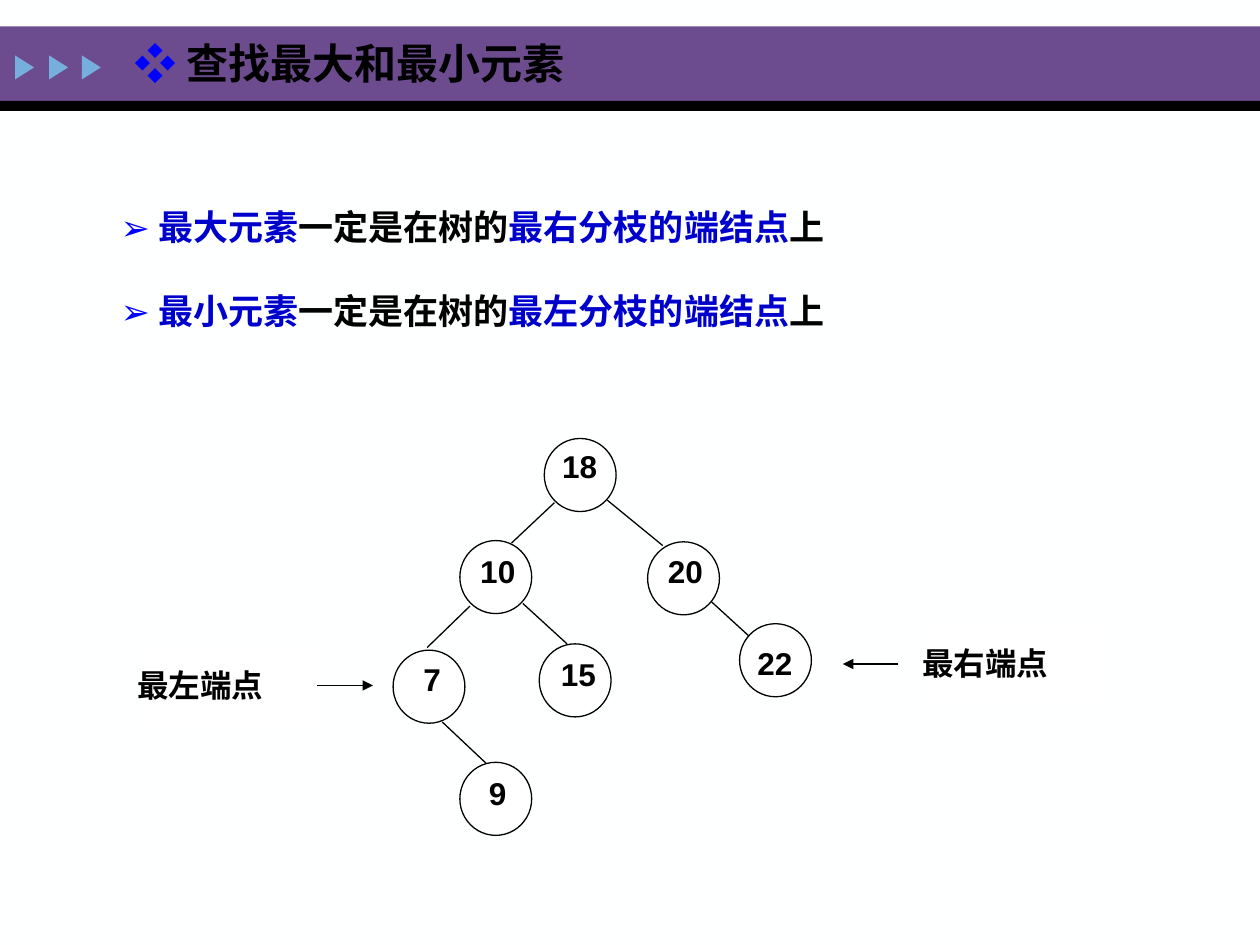
from dataclasses import dataclass

from lxml.etree import SubElement
from pptx import Presentation
from pptx.dml.color import RGBColor
from pptx.enum.shapes import MSO_CONNECTOR as Link, MSO_SHAPE as Form
from pptx.enum.text import MSO_ANCHOR as Anchor, MSO_AUTO_SIZE as Fit, PP_ALIGN as Align
from pptx.oxml.ns import qn
from pptx.util import Inches, Pt


@dataclass(frozen=True)
class Theme:
    paper: str = "FEFFFF"
    white: str = "FFFFFF"
    ink: str = "000000"
    band: str = "6C4C8F"
    marker: str = "76AEDD"
    bullet: str = "0000FF"
    key: str = "0000CC"
    title: int = 24
    body: int = 20
    label: int = 18
    stroke: float = 0.75


def rgb(value):
    return RGBColor.from_string(value)


def apply(target, values):
    for name, value in values.items():
        setattr(target, name, value)


class TreeSlide:
    def __init__(self, deck, theme):
        self.theme = theme
        self.slide = deck.slides.add_slide(deck.slide_layouts[6])
        fill = self.slide.background.fill
        fill.solid()
        fill.fore_color.rgb = rgb(theme.paper)

    def shape(self, form, box, fill, outlined=False):
        shape = self.slide.shapes.add_shape(form, *map(Inches, box))
        shape.shadow.inherit = False
        shape.fill.solid()
        shape.fill.fore_color.rgb = rgb(fill)
        if outlined:
            shape.line.color.rgb = rgb(self.theme.ink)
            shape.line.width = Pt(self.theme.stroke)
        else:
            shape.line.fill.background()
        return shape

    def add_runs(self, paragraph, runs, size, face):
        for words, color in runs:
            run = paragraph.add_run()
            run.text = words
            apply(run.font, {"size": Pt(size), "name": face, "bold": True})
            run.font.color.rgb = rgb(color)

    def text(self, box, lines, size, spacing=1):
        frame = self.slide.shapes.add_textbox(*map(Inches, box)).text_frame
        apply(frame, {"word_wrap": False, "auto_size": Fit.SHAPE_TO_FIT_TEXT})
        for index, runs in enumerate(lines):
            paragraph = frame.add_paragraph() if index else frame.paragraphs[0]
            paragraph.line_spacing = spacing
            self.add_runs(paragraph, runs, size, "Times New Roman")

    def label(self, box, words, face, anchor, align):
        label = self.shape(Form.RECTANGLE, box, self.theme.white)
        frame = label.text_frame
        margins = {f"margin_{side}": 0 for side in ("left", "top", "right", "bottom")}
        apply(frame, {"word_wrap": True, "vertical_anchor": anchor, **margins})
        frame.paragraphs[0].alignment = align
        self.add_runs(frame.paragraphs[0], [(words, self.theme.ink)], self.theme.label, face)
        return label

    def node(self, key, circle, caption):
        self.shape(Form.OVAL, (*circle, 0.57, 0.58), self.theme.white, outlined=True)
        self.label((*caption, 0.32, 0.34), key, "Arial", Anchor.TOP, Align.CENTER)

    def line(self, start, end, arrow=False):
        points = map(Inches, (*start, *end))
        line = self.slide.shapes.add_connector(Link.STRAIGHT, *points)
        line.line.color.rgb = rgb(self.theme.ink)
        line.line.width = Pt(self.theme.stroke)
        properties = line._element.spPr
        if arrow:
            SubElement(properties.find(qn("a:ln")), qn("a:tailEnd"), type="triangle")
        SubElement(properties, qn("a:effectLst"))
        return line


def main():
    deck = Presentation()
    apply(deck, {"slide_width": Inches(10), "slide_height": Inches(7.5)})
    theme = Theme()
    page = TreeSlide(deck, theme)

    page.shape(Form.RECTANGLE, (0, 0.21, 10, 0.59), theme.band)
    page.shape(Form.RECTANGLE, (0, 0.8, 10, 0.08), theme.ink)
    for left in (0.1, 0.37, 0.63):
        marker = page.shape(Form.ISOSCELES_TRIANGLE, (left, 0.46, 0.19, 0.15), theme.marker)
        marker.rotation = 90

    heading = [("❖ ", theme.bullet), ("查找最大和最小元素", theme.ink)]
    page.text((0.97, 0.25, 3.63, 0.51), [heading], theme.title)

    rules = [
        [
            ("➢ ", theme.bullet),
            (f"最{extreme}元素", theme.key),
            ("一定是在树的", theme.ink),
            (f"最{side}分枝的端结点", theme.key),
            ("上", theme.ink),
        ]
        for extreme, side in (("大", "右"), ("小", "左"))
    ]
    page.text((0.86, 1.25, 5.86, 1.34), rules, theme.body, spacing=2)

    edges = [
        ((4.4, 3.99), (4.06, 4.31)),
        ((4.82, 3.97), (5.26, 4.33)),
        ((3.73, 4.81), (3.39, 5.14)),
        ((4.15, 4.79), (4.5, 5.11)),
        ((5.64, 4.77), (5.99, 5.09)),
        ((3.51, 5.73), (3.86, 6.06)),
    ]
    for parent, child in edges:
        page.line(parent, child)

    nodes = [
        ("18", (4.32, 3.48), (4.44, 3.55)),
        ("10", (3.65, 4.29), (3.79, 4.38)),
        ("20", (5.14, 4.3), (5.28, 4.38)),
        ("7", (3.12, 5.16), (3.27, 5.24)),
        ("15", (4.28, 5.11), (4.43, 5.2)),
        ("22", (5.87, 4.95), (5.99, 5.11)),
        ("9", (3.65, 6.05), (3.79, 6.14)),
    ]
    for key, circle, caption in nodes:
        page.node(key, circle, caption)

    leftmost = page.label((1.09, 5.11, 1.43, 0.66), "最左端点", "Calibri", Anchor.MIDDLE, Align.LEFT)
    page.label((7.32, 4.93, 1.43, 0.66), "最右端点", "Calibri", Anchor.MIDDLE, Align.LEFT)
    left_pointer = page.line((2.52, 5.44), (2.96, 5.44), arrow=True)
    left_pointer.begin_connect(leftmost, 3)
    page.line((7.13, 5.27), (6.69, 5.27), arrow=True)

    deck.save("out.pptx")


if __name__ == "__main__":
    main()
